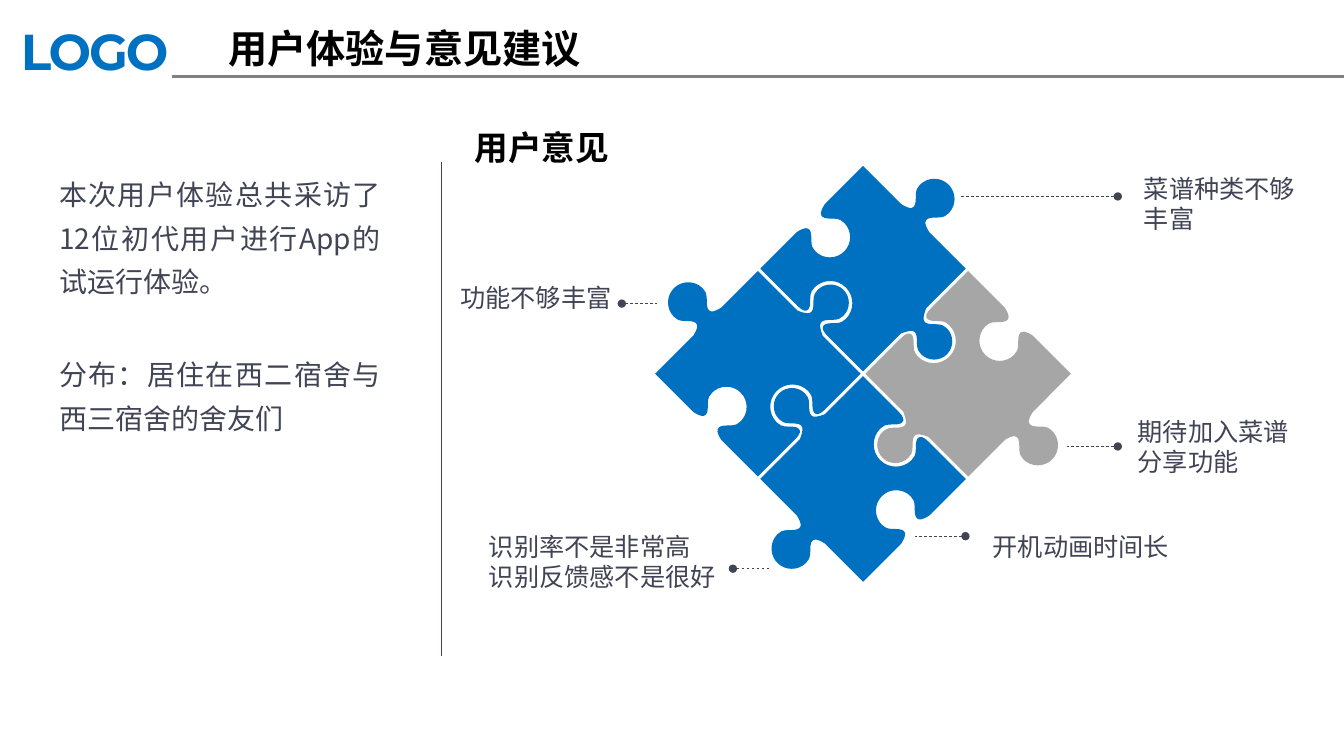
from dataclasses import dataclass
from math import cos, pi, sin, sqrt

from lxml.etree import SubElement
from pptx import Presentation
from pptx.dml.color import RGBColor
from pptx.enum.dml import MSO_LINE
from pptx.enum.shapes import MSO_CONNECTOR
from pptx.enum.text import PP_ALIGN
from pptx.oxml.ns import qn
from pptx.util import Cm, Pt


@dataclass(frozen=True)
class Theme:
    blue: RGBColor = RGBColor(0x00, 0x70, 0xC0)
    grey: RGBColor = RGBColor(0xA6, 0xA6, 0xA6)
    rule: RGBColor = RGBColor(0x80, 0x80, 0x80)
    ink: RGBColor = RGBColor(0x41, 0x44, 0x55)
    black: RGBColor = RGBColor(0, 0, 0)
    font: str = "Noto Sans CJK SC"
    logo_font: str = "Montserrat"
    logo: int = 36
    title: int = 28
    heading: int = 24
    body: int = 20
    label: int = 18


T = Theme()
prs = Presentation()
prs.slide_width, prs.slide_height = Cm(33.87), Cm(19.05)
s = prs.slides.add_slide(prs.slide_layouts[6])


def add_text(box, text, size, color=T.ink, bold=False, font=T.font, wrap=True):
    sp = s.shapes.add_textbox(*(Cm(v) for v in box))
    tf = sp.text_frame
    tf.word_wrap = wrap
    tf.text = text
    for p in tf.paragraphs:
        for r in p.runs:
            r.font.size, r.font.bold, r.font.name = Pt(size), bold, font
            r.font.color.rgb = color
            SubElement(r._r.get_or_add_rPr(), qn("a:ea"), typeface=font)
    return tf


def add_line(x1, y1, x2, y2, color, width):
    line = s.shapes.add_connector(
        MSO_CONNECTOR.STRAIGHT, Cm(x1), Cm(y1), Cm(x2), Cm(y2))
    line.line.color.rgb, line.line.width = color, Pt(width)
    SubElement(line._element.spPr, qn("a:effectLst"))
    return line


# Header
tf = add_text((0.2, 0.33, 4.72, 1.88), "LOGO", T.logo, T.blue, True, T.logo_font)
tf.margin_left = tf.margin_right = Cm(0.33)
tf.margin_top = tf.margin_bottom = Cm(0.18)
tf.paragraphs[0].runs[0]._r.get_or_add_rPr().set("spc", "-150")
add_line(4.34, 1.93, 33.87, 1.93, T.rule, 2)
tf = add_text((4.72, 0.48, 10.95, 1.45), "用户体验与意见建议", T.title, T.black, True)
tf.paragraphs[0].alignment = PP_ALIGN.CENTER

# Interview summary
tf = add_text((1.24, 4.09, 8.61, 12.4),
              "本次用户体验总共采访了12位初代用户进行App的试运行体验。\n"
              "分布：居住在西二宿舍与西三宿舍的舍友们", T.body)
for p, gap in zip(tf.paragraphs, (4, 35)):
    p.alignment, p.line_spacing, p.space_before = PP_ALIGN.JUSTIFY, 1.3, Pt(gap)
add_line(11.13, 16.54, 11.13, 4.09, T.ink, 0.25)

# Puzzle: one outline, turned by quarter turns about the centre
CENTRE_X, CENTRE_Y = 21.75, 9.42
OFFSET, HALF_DIAGONAL = 2.65, 2.59
KNOB, KNOB_HEIGHT, SEAM = 0.51, 0.68, 0.05
ARC = 0.55  # control length of a quarter circle
NECK = [  # cubic curves from the edge up to the knob, three points each
    (-0.28, 0.05), (-0.23, 0.1), (-0.23, 0.18),
    (-0.23, 0.25), (-0.32, 0.34), (-0.39, 0.41),
    (-0.5, 0.52), (-0.51, 0.6), (-0.51, 0.68),
]
# Clockwise from the upper right: tab (1) or socket (-1), and how much it grows
EDGES = [(-1, 0), (1, 0), (1, -SEAM), (-1, SEAM)]

outline = []
for n, (sign, grow) in enumerate(EDGES):
    r, knob_y = KNOB + grow, KNOB_HEIGHT - grow
    left = [(-0.5 - grow, 0)] + [(x - grow, y - grow) for x, y in NECK]
    left += [(-r, knob_y + ARC * r), (-ARC * r, knob_y + r)]
    profile = left + [(0, knob_y + r)] + [(-x, y) for x, y in reversed(left)]

    a = n * pi / 2
    corner = (OFFSET + HALF_DIAGONAL * sin(a), -HALF_DIAGONAL * cos(a))
    along = (cos(a + pi / 4), sin(a + pi / 4))
    out = (along[1], -along[0])
    middle = HALF_DIAGONAL / sqrt(2) + sign * 0.03
    outline.append(corner)
    for u, v in profile:
        outline.append(tuple(corner[k] + along[k] * (middle + u) + out[k] * sign * v
                             for k in (0, 1)))
edge_length = len(outline) // len(EDGES)

for turn, color in enumerate((T.grey, T.blue, T.blue, T.blue)):
    c, d = cos(turn * pi / 2), sin(turn * pi / 2)
    points = [(1000 * (CENTRE_X + x * c - y * d), 1000 * (CENTRE_Y + x * d + y * c))
              for x, y in outline]
    builder = s.shapes.build_freeform(*points[0], scale=Cm(1) / 1000)
    builder.add_line_segments(points[1:], close=True)
    sp = builder.convert_to_shape()
    sp.shadow.inherit = False
    sp.fill.solid()
    sp.fill.fore_color.rgb = color
    sp.line.fill.background()

    # Past the corner and the start of the neck, each three points make a curve
    segments = list(sp._element.iter(qn("a:lnTo")))
    for i, segment in enumerate(segments, start=1):
        place = i % edge_length - 2
        if place >= 0 and place % 3 == 0:
            segment.tag = qn("a:cubicBezTo")
            for follower in segments[i:i + 2]:
                segment.append(follower[0])
                follower.getparent().remove(follower)

# User opinions: text, text box, leader from its dot to the puzzle, wrapping
add_text((11.71, 3.07, 5.59, 1.27), "用户意见", T.heading, T.black, True)
opinions = [
    ("功能不够丰富", (11.35, 6.99, 4.32, 1.02), (15.67, 16.56, 7.65), False),
    ("菜谱种类不够丰富", (28.58, 4.24, 4.39, 1.8), (28.17, 24.21, 4.95), True),
    ("期待加入菜谱分享功能", (28.42, 10.36, 4.39, 1.8), (28.17, 26.9, 11.25), True),
    ("识别率不是非常高\n识别反馈感不是很好", (12.07, 13.26, 6.22, 1.8),
     (18.47, 19.38, 14.33), True),
    ("开机动画时间长", (24.77, 13.26, 6.22, 1.02), (24.33, 23.06, 13.51), True),
]
for text, box, (dot_x, end_x, y), wrap in opinions:
    add_text(box, text, T.label, wrap=wrap)
    leader = add_line(dot_x, y, end_x, y, T.ink, 0.5)
    leader.line.dash_style = MSO_LINE.DASH
    SubElement(leader.line._get_or_add_ln(), qn("a:headEnd"), type="oval")

prs.save("out.pptx")
